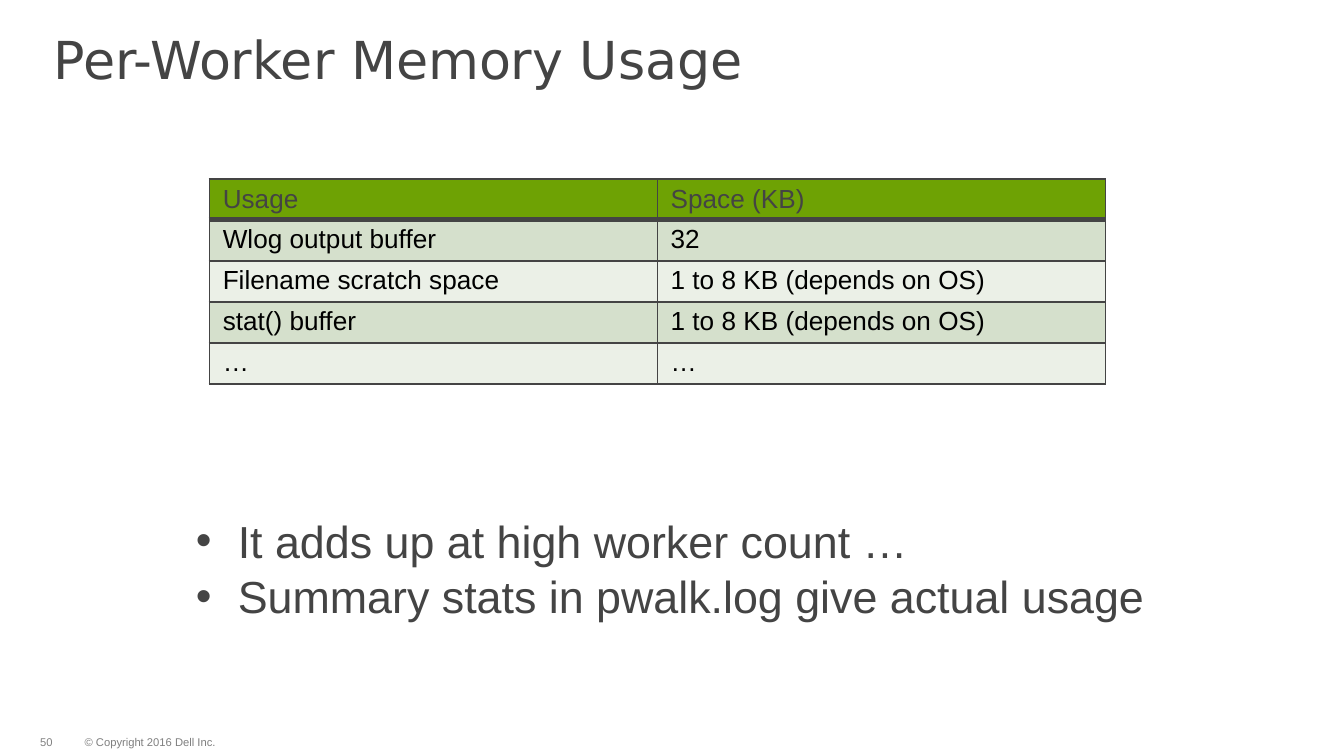
from dataclasses import dataclass

from lxml import etree
from pptx import Presentation
from pptx import util as u
from pptx.dml.color import RGBColor
from pptx.enum import text as t
from pptx.oxml import ns


@dataclass(frozen=True)
class Theme:
    ink: str = "444444"
    dark: str = "000000"
    grey: str = "7F7F7F"
    pale: str = "808080"
    head: str = "6EA204"
    bands: tuple = ("D5E0CC", "EBF0E7")
    sans: str = "Arial"
    title: str = "DejaVu Sans"
    big: int = 28
    list: int = 24
    cell: int = 14
    foot: int = 6


THEME = Theme()
ROWS = [
    ("Usage", "Space (KB)"),
    ("Wlog output buffer", "32"),
    ("Filename scratch space", "1 to 8 KB (depends on OS)"),
    ("stat() buffer", "1 to 8 KB (depends on OS)"),
    ("…", "…"),
]
POINTS = ["It adds up at high worker count …",
          "Summary stats in pwalk.log give actual usage"]


def style(para, size, color, face=THEME.sans):
    for run in para.runs:
        font = run.font
        font.name, font.size, font.bold = face, u.Pt(size), False
        font.color.rgb = RGBColor.from_string(color)


def place(shape, box):
    shape.left, shape.top, shape.width, shape.height = map(u.Cm, box)


def inset(frame, size=0):
    frame.margin_left = frame.margin_right = size
    frame.margin_top = frame.margin_bottom = size


def add_title(slide, box, words):
    shape = slide.shapes.title
    place(shape, box)
    frame = shape.text_frame
    frame.text = words
    inset(frame)
    frame.auto_size = t.MSO_AUTO_SIZE.NONE
    frame.vertical_anchor = t.MSO_ANCHOR.TOP
    para = frame.paragraphs[0]
    para.alignment = t.PP_ALIGN.LEFT
    para.line_spacing = u.Pt(36)
    style(para, THEME.big, THEME.ink, THEME.title)


def edge(cell, side, width):
    """Draw one border line of a cell; side is L, R, T or B."""
    line = etree.SubElement(cell._tc.get_or_add_tcPr(), ns.qn(f"a:ln{side}"),
                            w=str(u.Pt(width)))
    fill = etree.SubElement(line, ns.qn("a:solidFill"))
    etree.SubElement(fill, ns.qn("a:srgbClr"), val=THEME.ink)


def add_grid(slide, box, rows):
    table = slide.shapes.add_table(len(rows), len(rows[0]),
                                   *map(u.Cm, box)).table
    for r, row in enumerate(rows):
        top = r == 0
        back = THEME.head if top else THEME.bands[(r - 1) % 2]
        for c, words in enumerate(row):
            cell = table.cell(r, c)
            cell.text = words
            cell.margin_left = cell.margin_right = u.Cm(0.25)
            cell.margin_top = cell.margin_bottom = u.Cm(0.1)
            for side in "LRTB":
                edge(cell, side, 3 if top and side == "B" else 1)
            cell.fill.solid()
            cell.fill.fore_color.rgb = RGBColor.from_string(back)
            style(cell.text_frame.paragraphs[0], THEME.cell,
                  THEME.ink if top else THEME.dark)


def add_list(slide, box, points):
    shape = slide.placeholders[1]
    place(shape, box)
    frame = shape.text_frame
    frame.text = "\n".join(points)
    frame.word_wrap = False
    frame.auto_size = t.MSO_AUTO_SIZE.NONE
    frame.vertical_anchor = t.MSO_ANCHOR.BOTTOM
    for para in frame.paragraphs:
        props = para._p.get_or_add_pPr()
        props.set("marL", str(u.Cm(0.79)))
        props.set("indent", str(-u.Cm(0.79)))
        etree.SubElement(props, ns.qn("a:buFont"), typeface=THEME.sans)
        etree.SubElement(props, ns.qn("a:buChar"), char="•")
        para.space_before = u.Pt(0)
        para.line_spacing = 1.03
        style(para, THEME.list, THEME.ink)


def add_note(slide, box, words, color):
    frame = slide.shapes.add_textbox(*map(u.Cm, box)).text_frame
    frame.text = words
    inset(frame)
    frame.word_wrap = False
    frame.vertical_anchor = t.MSO_ANCHOR.MIDDLE
    para = frame.paragraphs[0]
    para.line_spacing = 0.9
    style(para, THEME.foot, color)


def main():
    deck = Presentation()
    deck.slide_width, deck.slide_height = u.Cm(25.4), u.Cm(14.28)
    slide = deck.slides.add_slide(deck.slide_layouts[1])
    add_title(slide, (1.02, 0.43, 23.37, 1.93), "Per-Worker Memory Usage")
    add_grid(slide, (3.96, 3.38, 16.93, 3.87), ROWS)
    add_list(slide, (3.45, 9.58, 18.57, 2.31), POINTS)
    add_note(slide, (0.76, 13.92, 0.25, 0.23), "50", THEME.pale)
    add_note(slide, (1.6, 13.92, 2.49, 0.23), "© Copyright 2016 Dell Inc.",
             THEME.grey)
    deck.save("out.pptx")


if __name__ == "__main__":
    main()
